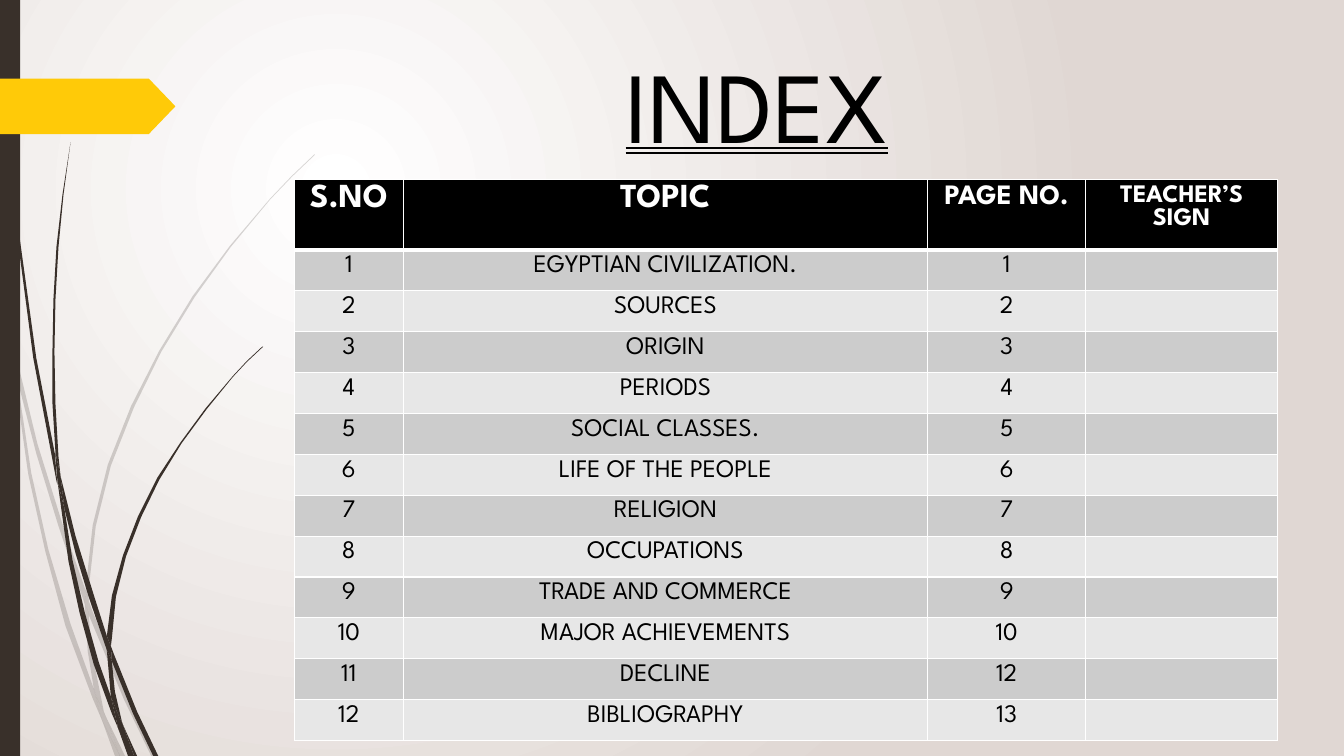
from lxml.etree import SubElement
from pptx import Presentation
from pptx.dml.color import RGBColor
from pptx.enum.shapes import MSO_SHAPE as Shape
from pptx.enum.text import MSO_ANCHOR as Anchor, MSO_UNDERLINE as Underline, PP_ALIGN as Align
from pptx.oxml.ns import qn
from pptx.util import Inches, Pt

# Content
TITLE = "INDEX"
HEADERS = [("S.NO", 24), ("TOPIC", 24), ("PAGE NO.", 20), ("TEACHER’S SIGN", 18)]
TOPICS = [
    ("EGYPTIAN CIVILIZATION.", 1), ("SOURCES", 2), ("ORIGIN", 3), ("PERIODS", 4),
    ("SOCIAL CLASSES.", 5), ("LIFE OF THE PEOPLE", 6), ("RELIGION", 7),
    ("OCCUPATIONS", 8), ("TRADE AND COMMERCE", 9), ("MAJOR ACHIEVEMENTS", 10),
    ("DECLINE", 12), ("BIBLIOGRAPHY", 13),
]

# Grass: outlines of the leaf pieces, in inches
PALE_GRASS = [
    [(.11, 3.5), (.09, 3.22), (0, 2.82), (0, 2.99), (.1, 3.44)],
    [(.58, 5.22), (.84, 5.99), (.85, 5.86), (.62, 5.2), (.37, 4.4), (.14, 3.45),
     (.17, 3.76), (.36, 4.5)],
    [(.92, 6.07), (.88, 5.96), (.88, 6.1), (1.23, 6.94), (1.5, 7.5), (1.55, 7.5),
     (1.27, 6.92)],
    [(1.19, 7.5), (1.24, 7.5), (1.05, 7.11)],
    [(.93, 6.83), (.7, 6.19), (.48, 5.45), (.31, 4.69), (.17, 3.76), (.11, 3.5),
     (.28, 4.7), (.45, 5.47), (.65, 6.21), (.92, 6.93), (1.01, 7.14), (.99, 7.07)],
    [(.84, 5.99), (.87, 6.46), (.93, 6.83), (.96, 6.92), (1.05, 7.11), (1.03, 7.06),
     (.91, 6.46), (.88, 6.1), (.88, 6.08)],
    [(.88, 5.84), (.95, 5.22), (1.1, 4.62), (1.33, 4.04), (1.6, 3.49), (1.93, 2.95),
     (2.29, 2.45), (2.68, 1.98), (2.9, 1.75), (3.12, 1.54), (3.12, 1.53), (2.89, 1.75),
     (2.68, 1.97), (2.28, 2.44), (1.91, 2.94), (1.58, 3.48), (1.3, 4.03), (1.07, 4.61),
     (.92, 5.21), (.85, 5.84), (.85, 5.86), (.88, 5.96)],
    [(1.01, 7.14), (1.14, 7.5), (1.19, 7.5)],
    [(.88, 6.08), (.88, 6.1), (.88, 5.96), (.85, 5.86), (.84, 5.99)],
    [(.96, 6.92), (.93, 6.83), (.99, 7.07), (1.01, 7.14), (1.19, 7.5), (1.05, 7.11)],
]
DARK_GRASS = [
    [(.07, 1.1), (.17, 2.33), (.33, 3.55), (.56, 4.77), (.57, 4.81), (.55, 4.57),
     (.55, 4.53), (.36, 3.55), (.19, 2.32), (.08, 1.09), (.05, .48), (.04, 0), (.03, 0),
     (.04, .48)],
    [(.88, 5.92), (1.06, 6.45), (1.06, 6.31), (.93, 5.9), (.75, 5.32), (.6, 4.72),
     (.64, 5.05), (.75, 5.49)],
    [(1.13, 6.49), (1.1, 6.41), (1.11, 6.56), (1.32, 7.08), (1.52, 7.5), (1.57, 7.5),
     (1.36, 7.06)],
    [(1.1, 6.91), (.98, 6.57), (.84, 6.07), (.72, 5.56), (.64, 5.05), (.57, 4.77),
     (.68, 5.57), (.79, 6.08), (.93, 6.59), (1.11, 7.08), (1.17, 7.22), (1.16, 7.17)],
    [(.6, 4.72), (.58, 4.53), (.55, 4.01), (.54, 3.49), (.55, 2.97), (.58, 2.45),
     (.63, 1.93), (.7, 1.41), (.62, 1.93), (.56, 2.45), (.53, 2.97), (.52, 3.49),
     (.52, 4), (.55, 4.49)],
    [(1.33, 7.5), (1.36, 7.5), (1.22, 7.19)],
    [(.57, 4.77), (.64, 5.05), (.6, 4.72), (.55, 4.49), (.55, 4.53)],
    [(1.11, 6.33), (1.15, 5.92), (1.25, 5.52), (1.4, 5.13), (1.58, 4.76), (1.8, 4.4),
     (2.05, 4.06), (2.31, 3.74), (2.45, 3.59), (2.61, 3.44), (2.6, 3.44), (2.45, 3.58),
     (2.31, 3.73), (2.04, 4.05), (1.79, 4.39), (1.56, 4.74), (1.37, 5.12), (1.22, 5.51),
     (1.11, 5.91), (1.06, 6.31), (1.1, 6.41)],
    [(1.17, 7.22), (1.27, 7.5), (1.31, 7.5)],
    [(1.06, 6.45), (1.1, 6.91), (1.16, 7.06), (1.22, 7.19), (1.21, 7.16), (1.14, 6.86),
     (1.11, 6.56), (1.09, 6.51)],
    [(1.06, 6.45), (1.09, 6.51), (1.11, 6.56), (1.1, 6.41), (1.06, 6.31)],
    [(1.16, 7.06), (1.1, 6.91), (1.16, 7.17), (1.17, 7.22), (1.3, 7.5), (1.33, 7.5),
     (1.22, 7.19)],
]

# Layout and colours
WIDTH, HEIGHT = 13.33, 7.5
LEFT, TOP = 2.92, 1.78
COLUMNS = [1.08, 5.2, 1.57, 1.9]
TABLE_HEIGHT, HEADER_ROW = 5.43, .56
BODY_ROW = (TABLE_HEIGHT - HEADER_ROW) / len(TOPICS)
FONT = "League Spartan"
BLACK, WHITE, BROWN, YELLOW = "000000", "FFFFFF", "39302A", "FFCA08"
BANDS = ["CCCCCC", "E7E7E7"]


def color(value):
    return RGBColor.from_string(value)


def paint(shape, value):
    shape.shadow.inherit = False
    shape.fill.solid()
    shape.fill.fore_color.rgb = color(value)
    shape.line.fill.background()


def add_grass(slide, outlines, opacity):
    group = slide.shapes.add_group_shape()
    for outline in outlines:
        points = [(x * 100, y * 100) for x, y in outline]
        builder = group.shapes.build_freeform(*points[0], scale=Inches(.01))
        builder.add_line_segments(points[1:], close=True)
        leaf = builder.convert_to_shape()
        paint(leaf, BROWN)
        if opacity < 100:
            tone = leaf.fill._xPr.find(".//" + qn("a:srgbClr"))
            SubElement(tone, qn("a:alpha"), val=str(opacity * 1000))


def style(para, size, value, bold=False):
    para.alignment = Align.CENTER
    for font in [para.font] + [span.font for span in para.runs]:
        font.name, font.size, font.bold = FONT, Pt(size), bold
        font.color.rgb = color(value)


def fill_cell(cell, text, size, value, back, widths, bold=False):
    for side, width in zip("LRTB", widths):
        border = SubElement(cell._tc.get_or_add_tcPr(), qn("a:ln" + side), w=str(Pt(width)))
        SubElement(SubElement(border, qn("a:solidFill")), qn("a:srgbClr"), val=WHITE)
    cell.fill.solid()
    cell.fill.fore_color.rgb = color(back)
    cell.text_frame.text = text
    style(cell.text_frame.paragraphs[0], size, value, bold)


def main():
    deck = Presentation()
    deck.slide_width, deck.slide_height = Inches(WIDTH), Inches(HEIGHT)
    slide = deck.slides.add_slide(deck.slide_layouts[6])

    # Background: a round gradient
    fill = slide.background.fill
    fill.gradient()
    for stop, value in zip(fill.gradient_stops, [WHITE, "E0D7D3"]):
        stop.color.rgb = color(value)
    gradient = slide._element.find(".//" + qn("a:gradFill"))
    gradient.remove(gradient.find(qn("a:lin")))
    circle = SubElement(gradient, qn("a:path"), {"path": "circle"})
    SubElement(circle, qn("a:fillToRect"), l="50000", t="50000", r="100000", b="100000")

    # Grass, side bar and yellow tag
    add_grass(slide, PALE_GRASS, 20)
    add_grass(slide, DARK_GRASS, 100)
    bar = slide.shapes.add_shape(Shape.RECTANGLE, 0, 0, Inches(.2), Inches(HEIGHT))
    paint(bar, BROWN)
    tag = slide.shapes.add_shape(Shape.PENTAGON, 0, Inches(.78), Inches(1.74), Inches(.55))
    tag.adjustments[0] = .48
    paint(tag, YELLOW)

    # Title
    box = slide.shapes.add_textbox(Inches(2.63), Inches(.38), Inches(9.75), Inches(1.4))
    frame = box.text_frame
    frame.word_wrap = True
    frame.vertical_anchor = Anchor.MIDDLE
    frame.margin_bottom = Inches(.17)
    frame.text = TITLE
    style(frame.paragraphs[0], 72, BLACK)
    frame.paragraphs[0].runs[0].font.underline = Underline.DOUBLE_LINE

    # Index table
    table = slide.shapes.add_table(
        len(TOPICS) + 1, len(COLUMNS), Inches(LEFT), Inches(TOP),
        Inches(sum(COLUMNS)), Inches(TABLE_HEIGHT)).table
    for column, width in zip(table.columns, COLUMNS):
        column.width = Inches(width)
    for i, row in enumerate(table.rows):
        row.height = Inches(BODY_ROW if i else HEADER_ROW)
    for cell, (text, size) in zip(table.rows[0].cells, HEADERS):
        fill_cell(cell, text, size, WHITE, BLACK, (1, 1, 1, 3), bold=True)
    for number, (topic, page) in enumerate(TOPICS, 1):
        widths = (1, 1, 3 if number == 1 else 1, 1)
        for cell, text in zip(table.rows[number].cells, [str(number), topic, str(page), ""]):
            fill_cell(cell, text, 18, BLACK, BANDS[(number - 1) % 2], widths)

    deck.save("out.pptx")


if __name__ == "__main__":
    main()
